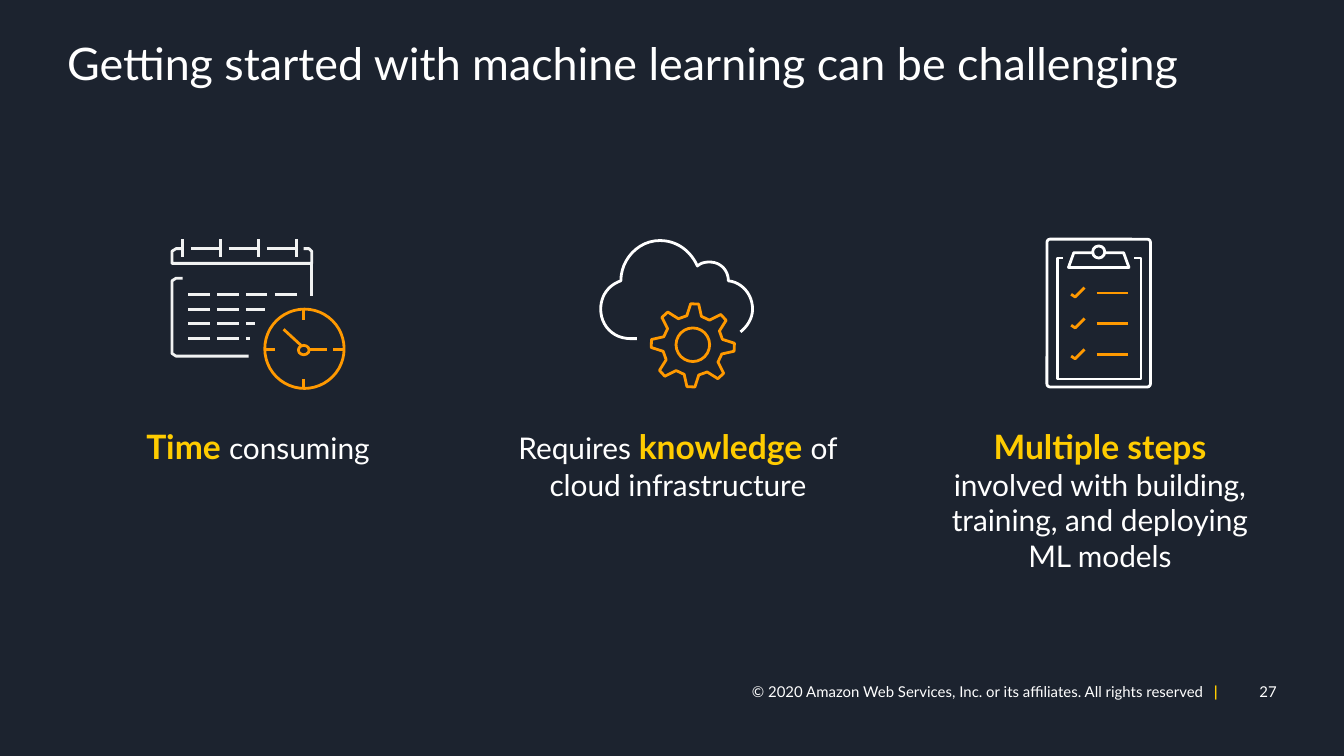
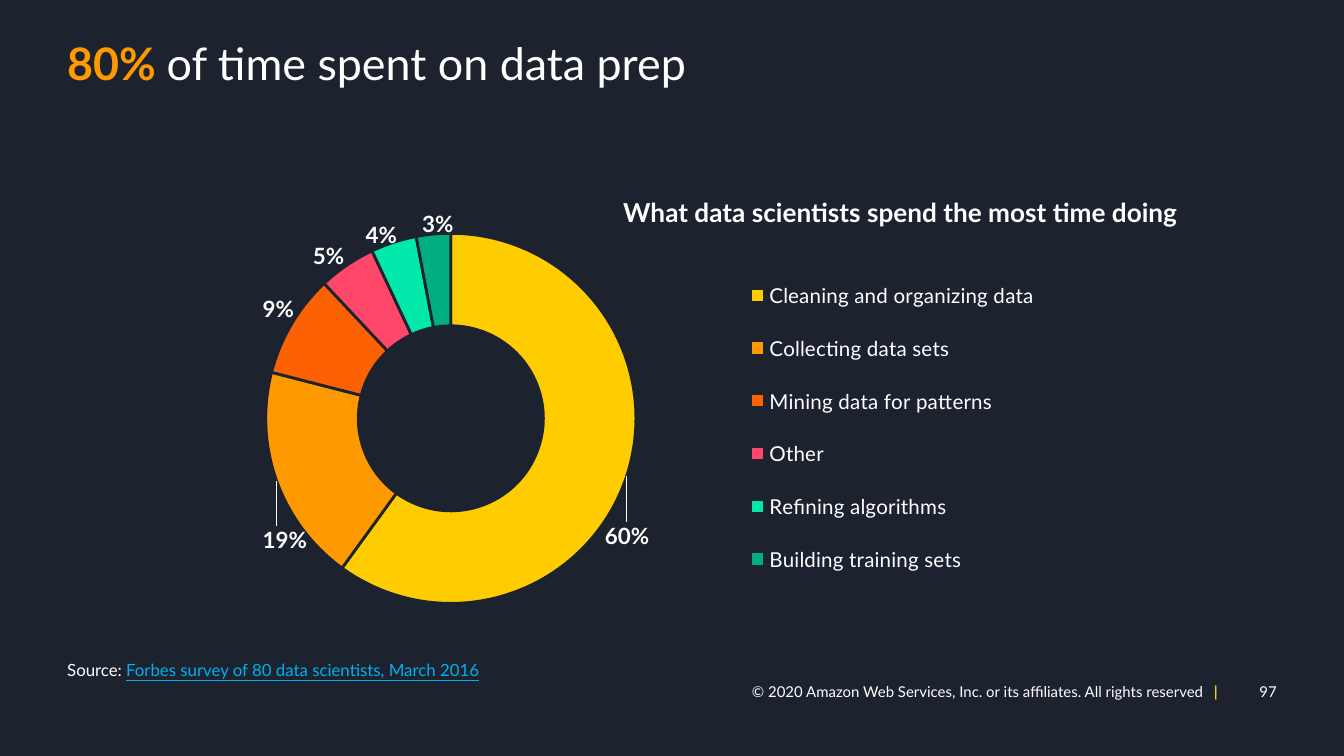
from math import cos, radians, sin

from lxml import etree
from pptx import Presentation
from pptx.chart.data import CategoryChartData
from pptx.dml.color import RGBColor
from pptx.enum.chart import XL_CHART_TYPE, XL_LEGEND_POSITION
from pptx.enum.shapes import MSO_CONNECTOR, MSO_SHAPE
from pptx.enum.text import MSO_ANCHOR, PP_ALIGN
from pptx.oxml import parse_xml
from pptx.oxml.ns import nsdecls, qn
from pptx.util import Inches, Pt

FONT = "Lato"
COLORS = {
    "background": "1C232F", "white": "FFFFFF", "chalk": "F1F2F2",
    "yellow": "FFCC00", "orange": "FF9900", "link": "00B0F0",
    "flame": "FC6204", "pink": "FF4869", "mint": "00E9AA", "green": "00AF80",
}
# Category, percentage, colour, and label shift as a fraction of the chart
TASKS = [
    ("Cleaning and organizing data", 60, "yellow", (0.05, 0.17)),
    ("Collecting data sets", 19, "orange", (-0.04, 0.17)),
    ("Mining data for patterns", 9, "flame", (-0.06, -0.09)),
    ("Other", 5, "pink", (-0.05, -0.11)),
    ("Refining algorithms", 4, "mint", (-0.03, -0.12)),
    ("Building training sets", 3, "green", (0, -0.13)),
]


def color(name):
    return RGBColor.from_string(COLORS[name])


def style_font(font, size, name="white", bold=False):
    font.name, font.size, font.bold = FONT, Pt(size), bold
    font.color.rgb = color(name)


def add_text(page, at, spans, size, align=PP_ALIGN.LEFT, bold=False,
             insets=(0.1, 0.05, 0.1, 0.05), anchor=MSO_ANCHOR.TOP, wrap=True):
    """Add one paragraph; a span is text or (text, overrides), "\\n" breaks a line."""
    box = page.shapes.add_textbox(*map(Inches, at))
    frame = box.text_frame
    frame.word_wrap, frame.vertical_anchor = wrap, anchor
    (frame.margin_left, frame.margin_top,
     frame.margin_right, frame.margin_bottom) = map(Inches, insets)
    para = frame.paragraphs[0]
    para.alignment = align
    style_font(para.font, size, bold=bold)
    for span in spans:
        text, look = (span, {}) if isinstance(span, str) else span
        for number, line in enumerate(text.split("\n")):
            if number:
                para.add_line_break()
            if not line:
                continue
            run = para.add_run()
            run.text = line
            style_font(run.font, look.get("size", size),
                       look.get("color", "white"), look.get("bold", bold))
            if look.get("underline"):
                run.font.underline = True
            if look.get("spacing"):
                run._r.get_or_add_rPr().set("spc", str(look["spacing"]))
    return para


def add_page(deck, title, number):
    """Add a dark page with its title and footer."""
    page = deck.slides.add_slide(deck.slide_layouts[6])
    page.background.fill.solid()
    page.background.fill.fore_color.rgb = color("background")
    footer = dict(size=8, align=PP_ALIGN.RIGHT, insets=(0, 0, 0, 0),
                  anchor=MSO_ANCHOR.MIDDLE)
    add_text(page, (8.57, 5.06, 0.93, 0.17), [str(number)], **footer)
    add_text(page, (5.07, 5.06, 3.99, 0.17),
             ["© 2020 Amazon Web Services, Inc. or its affiliates. All rights reserved",
              (" ", {"spacing": 310}), ("|", {"color": "yellow", "bold": True})],
             **footer)
    heading = add_text(page, (0.5, 0.31, 9, 0.75), title, 24, insets=(0, 0, 0, 0))
    heading.line_spacing = 0.9
    return page


def add_caption(page, at, spans, wrap=False):
    add_text(page, at, spans, 16, PP_ALIGN.CENTER, wrap=wrap)


def style_outline(shape, name):
    shape.line.color.rgb = color(name)
    shape.line.width = Pt(1.5)


def draw_line(icon, name, x1, y1, x2, y2):
    line = icon.shapes.add_connector(
        MSO_CONNECTOR.STRAIGHT, *map(Inches, (x1, y1, x2, y2)))
    style_outline(line, name)
    etree.SubElement(line._element.spPr, qn("a:effectLst"))


def draw_preset(icon, name, kind, *at):
    shape = icon.shapes.add_shape(kind, *map(Inches, at))
    shape.fill.background()
    shape.shadow.inherit = False
    style_outline(shape, name)
    return shape


def draw_path(icon, name, points, close=False):
    corners = [(Inches(x), Inches(y)) for x, y in points]
    builder = icon.shapes.build_freeform(*corners[0])
    builder.add_line_segments(corners[1:], close=close)
    shape = builder.convert_to_shape()
    shape.fill.background()
    shape.shadow.inherit = False
    style_outline(shape, name)


def trace_curves(start, curves, steps=12):
    """Return points along cubic curves, each given as two controls and an end."""
    points = [start]
    for first, second, end in curves:
        origin = points[-1]
        for step in range(1, steps + 1):
            t = step / steps
            weights = ((1 - t) ** 3, 3 * t * (1 - t) ** 2, 3 * t * t * (1 - t), t ** 3)
            points.append(tuple(
                sum(w * p[axis] for w, p in zip(weights, (origin, first, second, end)))
                for axis in (0, 1)))
    return points


def draw_calendar(page):
    icon = page.shapes.add_group_shape()
    for row, last_ends in enumerate([(1.99, 2.21), (1.97,), (1.9,), (1.86,)]):
        y = 2.19 + 0.11 * row
        for column, end in enumerate((1.56, 1.78) + last_ends):
            draw_line(icon, "chalk", 1.4 + 0.215 * column, y, end, y)
    for ring in range(4):
        x = 1.36 + 0.283 * ring
        draw_line(icon, "chalk", x, 1.78, x, 1.91)
        if ring < 3:
            draw_line(icon, "chalk", x + 0.06, 1.85, x + 0.28, 1.85)
    draw_path(icon, "chalk", [(2.26, 1.85), (2.3, 1.85), (2.32, 1.87), (2.32, 1.96),
                              (1.28, 1.96), (1.28, 1.87), (1.31, 1.85), (1.36, 1.85)])
    draw_path(icon, "chalk", [(1.85, 2.65), (1.31, 2.65), (1.28, 2.63),
                              (1.28, 2.09), (1.31, 2.07), (1.36, 2.07)])
    draw_line(icon, "chalk", 2.32, 1.96, 2.32, 2.2)

    draw_preset(icon, "orange", MSO_SHAPE.OVAL, 1.97, 2.3, 0.59, 0.59)
    draw_preset(icon, "orange", MSO_SHAPE.OVAL, 2.22, 2.57, 0.08, 0.07)
    for mark in [(1.98, 2.6, 2.05, 2.6), (2.48, 2.6, 2.56, 2.6),
                 (2.26, 2.31, 2.26, 2.38), (2.26, 2.82, 2.26, 2.89),
                 (2.11, 2.45, 2.24, 2.57), (2.3, 2.6, 2.43, 2.6)]:
        draw_line(icon, "orange", *mark)


def draw_cloud(page):
    icon = page.shapes.add_group_shape()
    gear = []
    for tooth in range(8):
        for radius, turn in [(0.225, -14), (0.31, -5.5), (0.31, 5.5), (0.225, 14)]:
            angle = radians(45 * tooth + 2.6 + turn)
            gear.append((5.155 + radius * sin(angle), 2.57 - radius * cos(angle)))
    draw_path(icon, "orange", gear, close=True)
    draw_preset(icon, "orange", MSO_SHAPE.OVAL, 5.03, 2.44, 0.25, 0.25)
    cloud = trace_curves((4.69, 2.52), [
        ((4.56, 2.52), (4.47, 2.42), (4.47, 2.3)),
        ((4.47, 2.2), (4.53, 2.12), (4.62, 2.09)),
        ((4.62, 1.93), (4.75, 1.79), (4.91, 1.79)),
        ((5.04, 1.79), (5.14, 1.87), (5.19, 1.98)),
        ((5.21, 1.96), (5.24, 1.95), (5.28, 1.95)),
        ((5.36, 1.95), (5.42, 2.01), (5.42, 2.09)),
        ((5.52, 2.1), (5.6, 2.19), (5.6, 2.3)),
        ((5.6, 2.37), (5.56, 2.43), (5.51, 2.47)),
    ])
    draw_path(icon, "white", [(4.74, 2.52)] + cloud)


def draw_clipboard(page):
    icon = page.shapes.add_group_shape()
    board = draw_preset(icon, "white", MSO_SHAPE.ROUNDED_RECTANGLE, 7.79, 1.78, 0.77, 1.1)
    board.adjustments[0] = 0.03
    draw_path(icon, "white", [(8.44, 1.92), (8.49, 1.92), (8.49, 2.82),
                              (7.87, 2.82), (7.87, 1.92), (7.91, 1.92)])
    draw_path(icon, "white", [(8.22, 1.88), (8.36, 1.88), (8.4, 1.99),
                              (7.95, 1.99), (7.99, 1.88), (8.13, 1.88)])
    draw_preset(icon, "white", MSO_SHAPE.OVAL, 8.13, 1.83, 0.09, 0.09)
    for row in range(3):
        y = 2.14 + 0.23 * row
        draw_path(icon, "orange", [(8.07, y), (8, y + 0.07), (7.97, y + 0.05)])
        draw_line(icon, "orange", 8.16, y + 0.04, 8.39, y + 0.04)


def make_layout(x, y, width=None, height=None, inner=False):
    """Return a manual chart layout; without a size, x and y shift a label."""
    values = []
    if inner:
        values.append(("layoutTarget", "inner"))
    if width:
        values += [("xMode", "edge"), ("yMode", "edge")]
    values += [("x", x), ("y", y)]
    if width:
        values += [("w", width), ("h", height)]
    body = "".join(f'<c:{tag} val="{value}"/>' for tag, value in values)
    return parse_xml(f'<c:layout {nsdecls("c")}><c:manualLayout>{body}'
                     '</c:manualLayout></c:layout>')


def set_layout(parent, layout, after=None):
    for old in parent.findall(qn("c:layout")):
        parent.remove(old)
    if after is None:
        parent.insert(0, layout)
    else:
        parent.find(qn(after)).addnext(layout)


def add_leader_lines(labels):
    labels._element.find(qn("c:showLeaderLines")).addnext(parse_xml(
        f'<c:leaderLines {nsdecls("c", "a")}><c:spPr><a:ln w="9525"><a:solidFill>'
        f'<a:srgbClr val="{COLORS["white"]}"/></a:solidFill></a:ln></c:spPr>'
        '</c:leaderLines>'))


def style_slice_edge(item, width):
    item.format.line.color.rgb = color("background")
    item.format.line.width = Pt(width)


def add_task_chart(page):
    data = CategoryChartData()
    data.categories = [task[0] for task in TASKS]
    data.add_series("Series 1", [task[1] for task in TASKS])
    chart = page.shapes.add_chart(
        XL_CHART_TYPE.DOUGHNUT, *map(Inches, (1.71, 1.51, 6.58, 3.24)), data).chart
    chart.has_title = False
    style_font(chart.font, 10)
    chart.has_legend = True
    chart.legend.position = XL_LEGEND_POSITION.RIGHT
    chart.legend.include_in_layout = False
    style_font(chart.legend.font, 11)
    set_layout(chart.legend._element, make_layout(0.57, 0.12, 0.36, 0.79), "c:legendPos")

    plot = chart.plots[0]
    plot.vary_by_categories = True
    plot._element.find(qn("c:holeSize")).set("val", "57")
    set_layout(plot._element.getparent(), make_layout(0.04, 0.07, 0.42, 0.85, inner=True))

    series = plot.series[0]
    style_slice_edge(series, 0.75)
    labels = series.data_labels
    labels.show_percentage, labels.show_value = True, False
    labels.number_format, labels.number_format_is_linked = "0%", False
    style_font(labels.font, 12, bold=True)
    add_leader_lines(labels)
    for index, (_, _, name, shift) in enumerate(TASKS):
        point = series.points[index]
        point.format.fill.solid()
        point.format.fill.fore_color.rgb = color(name)
        style_slice_edge(point, 1.5)
        style_font(point.data_label.font, 12, bold=True)
        label = series._element.xpath(f".//c:dLbl[c:idx/@val={index}]")[0]
        label.find(qn("c:showVal")).set("val", "0")
        label.find(qn("c:showPercent")).set("val", "1")
        set_layout(label, make_layout(*shift), "c:idx")


def build_challenges(deck):
    page = add_page(deck, ["Getting started with machine learning can be challenging"], 27)
    strong = {"size": 18, "color": "yellow", "bold": True}
    add_caption(page, (3.68, 3.12, 2.73, 0.67),
                ["Requires ", ("knowledge ", strong), "of\ncloud infrastructure"])
    add_caption(page, (0.59, 3.12, 2.66, 0.4), [("Time ", strong), "consuming"], wrap=True)
    add_caption(page, (6.9, 3.12, 2.57, 1.21),
                [("Multiple steps\n", strong),
                 "involved with building,\ntraining, and deploying\nML models"])
    draw_calendar(page)
    draw_cloud(page)
    draw_clipboard(page)


def build_data_prep(deck):
    page = add_page(deck, [("80% ", {"color": "orange", "bold": True}),
                           "of time spent on data prep"], 97)
    add_text(page, (0.5, 4.86, 7.25, 0.25),
             ["Source: ", ("Forbes survey of 80 data scientists, March 2016",
                           {"color": "link", "underline": True})],
             9, insets=(0, 0.05, 0.1, 0.05))
    add_task_chart(page)
    add_text(page, (4.22, 1.41, 4.96, 0.34),
             ["What data scientists spend the most time doing"],
             14, PP_ALIGN.CENTER, bold=True)


def main():
    deck = Presentation()
    deck.slide_width = Inches(10)
    deck.slide_height = deck.slide_width * 9 // 16
    build_challenges(deck)
    build_data_prep(deck)
    deck.save("out.pptx")


if __name__ == "__main__":
    main()
